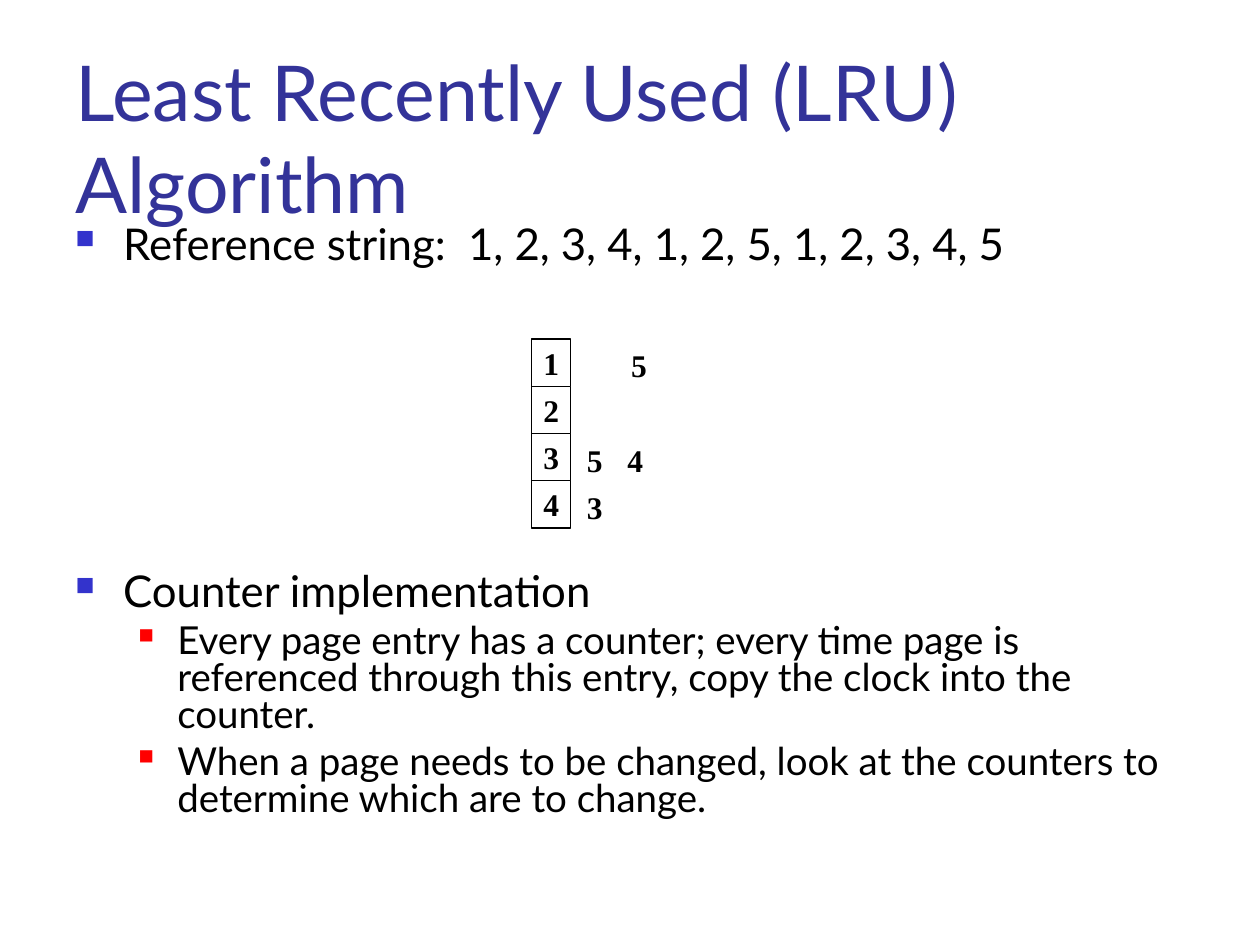
from lxml.etree import SubElement
from pptx import Presentation
from pptx.dml.color import RGBColor
from pptx.enum.shapes import MSO_SHAPE
from pptx.enum.text import MSO_ANCHOR, MSO_AUTO_SIZE, PP_ALIGN
from pptx.oxml.ns import qn
from pptx.util import Inches, Pt


def color(value):
    return RGBColor.from_string(value)


class SlideBuilder:
    TEXT_FONT, NUMBER_FONT = "Lato", "Times New Roman"
    BLACK, WHITE, TITLE = "000000", "FFFFFF", "333399"
    # per level: text size, space before, left margin, indent, bullet colour, bullet percent
    LEVELS = [(25, 6.2, 0.38, -0.38, "3333CC", 60),
              (22, 5.5, 0.81, -0.31, "FF0000", 55)]

    def __init__(self, slide):
        self.slide = slide

    def format_runs(self, p, name, size, rgb, bold=False):
        for r in p.runs:
            r.font.name, r.font.size, r.font.bold = name, Pt(size), bold
            r.font.color.rgb = color(rgb)

    def title(self, text, *box):
        s = self.slide.shapes.title
        s.left, s.top, s.width, s.height = map(Inches, box)
        tf = s.text_frame
        tf.text = text
        tf.auto_size = MSO_AUTO_SIZE.NONE
        tf.vertical_anchor = MSO_ANCHOR.TOP
        p = tf.paragraphs[0]
        p.alignment = PP_ALIGN.LEFT
        self.format_runs(p, self.TEXT_FONT, 44, self.TITLE)

    def bullets(self, items, *box):
        """Add a list of (level, text, extra space before in points)."""
        tf = self.slide.shapes.add_textbox(*map(Inches, box)).text_frame
        tf.word_wrap = True
        for i, (level, text, gap) in enumerate(items):
            p = tf.paragraphs[0] if i == 0 else tf.add_paragraph()
            size, before, margin, indent, rgb, percent = self.LEVELS[level]
            p.text = text
            p.level = level
            p.line_spacing = 0.8
            if i:
                p.space_before = Pt(before + gap)
            pPr = p._p.get_or_add_pPr()
            pPr.set("marL", str(Inches(margin)))
            pPr.set("indent", str(Inches(indent)))
            SubElement(SubElement(pPr, qn("a:buClr")), qn("a:srgbClr"), val=rgb)
            SubElement(pPr, qn("a:buSzPct"), val=str(percent * 1000))
            SubElement(pPr, qn("a:buChar"), char="■")
            self.format_runs(p, self.TEXT_FONT, size, self.BLACK)

    def number(self, s, text, alignment):
        tf = s.text_frame
        tf.text = text
        tf.word_wrap = False
        tf.vertical_anchor = MSO_ANCHOR.MIDDLE
        p = tf.paragraphs[0]
        p.alignment = alignment
        self.format_runs(p, self.NUMBER_FONT, 18, self.BLACK, bold=True)

    def frame(self, text, *box):
        s = self.slide.shapes.add_shape(MSO_SHAPE.RECTANGLE, *map(Inches, box))
        s.shadow.inherit = False
        s.fill.solid()
        s.fill.fore_color.rgb = color(self.WHITE)
        s.line.color.rgb = color(self.BLACK)
        s.line.width = Pt(0.75)
        self.number(s, text, PP_ALIGN.CENTER)

    def replacement(self, text, *box):
        s = self.slide.shapes.add_textbox(*map(Inches, box))
        self.number(s, text, PP_ALIGN.LEFT)


def main():
    prs = Presentation()
    prs.slide_width, prs.slide_height = Inches(10), Inches(7.5)
    b = SlideBuilder(prs.slides.add_slide(prs.slide_layouts[5]))

    b.title("Least Recently Used (LRU) Algorithm", 0.5, 0.3, 9, 1.25)
    frames_gap = 168
    b.bullets([
        (0, "Reference string:  1, 2, 3, 4, 1, 2, 5, 1, 2, 3, 4, 5", 0),
        (0, "Counter implementation", frames_gap),
        (1, "Every page entry has a counter; every time page is referenced "
            "through this entry, copy the clock into the counter.", 0),
        (1, "When a page needs to be changed, look at the counters to "
            "determine which are to change.", 0),
    ], 0.5, 1.75, 9, 4.95)

    top, row_height = 2.69, 0.375
    for row, page in enumerate("1234"):
        b.frame(page, 4.22, top + row * row_height, 0.31, row_height)
    for page, left, row in [("5", 4.91, 0), ("5", 4.56, 2), ("4", 4.88, 2), ("3", 4.56, 3)]:
        b.replacement(page, left, top + 0.01 + row * row_height, 0.32, 0.4)

    prs.save("out.pptx")


if __name__ == "__main__":
    main()
